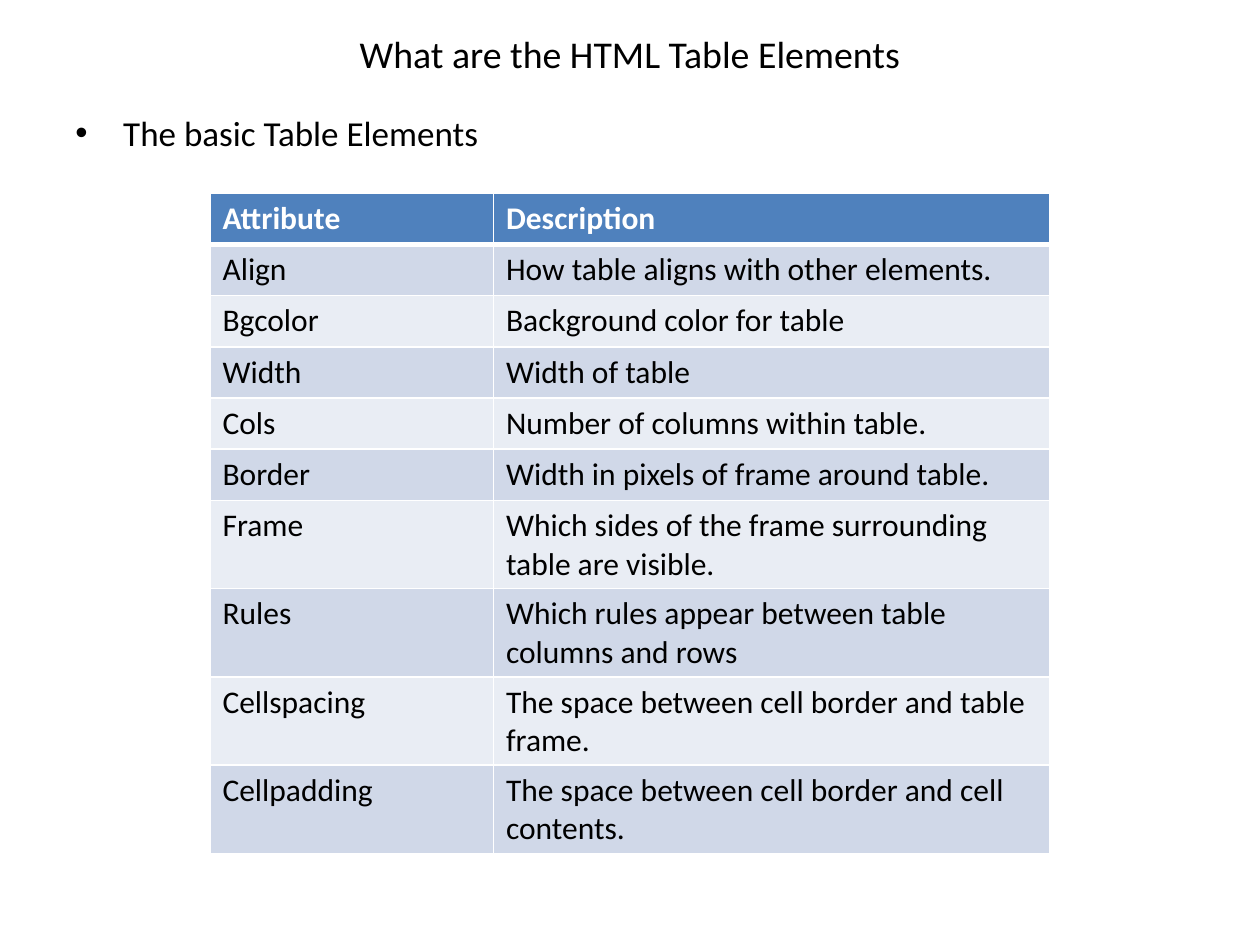
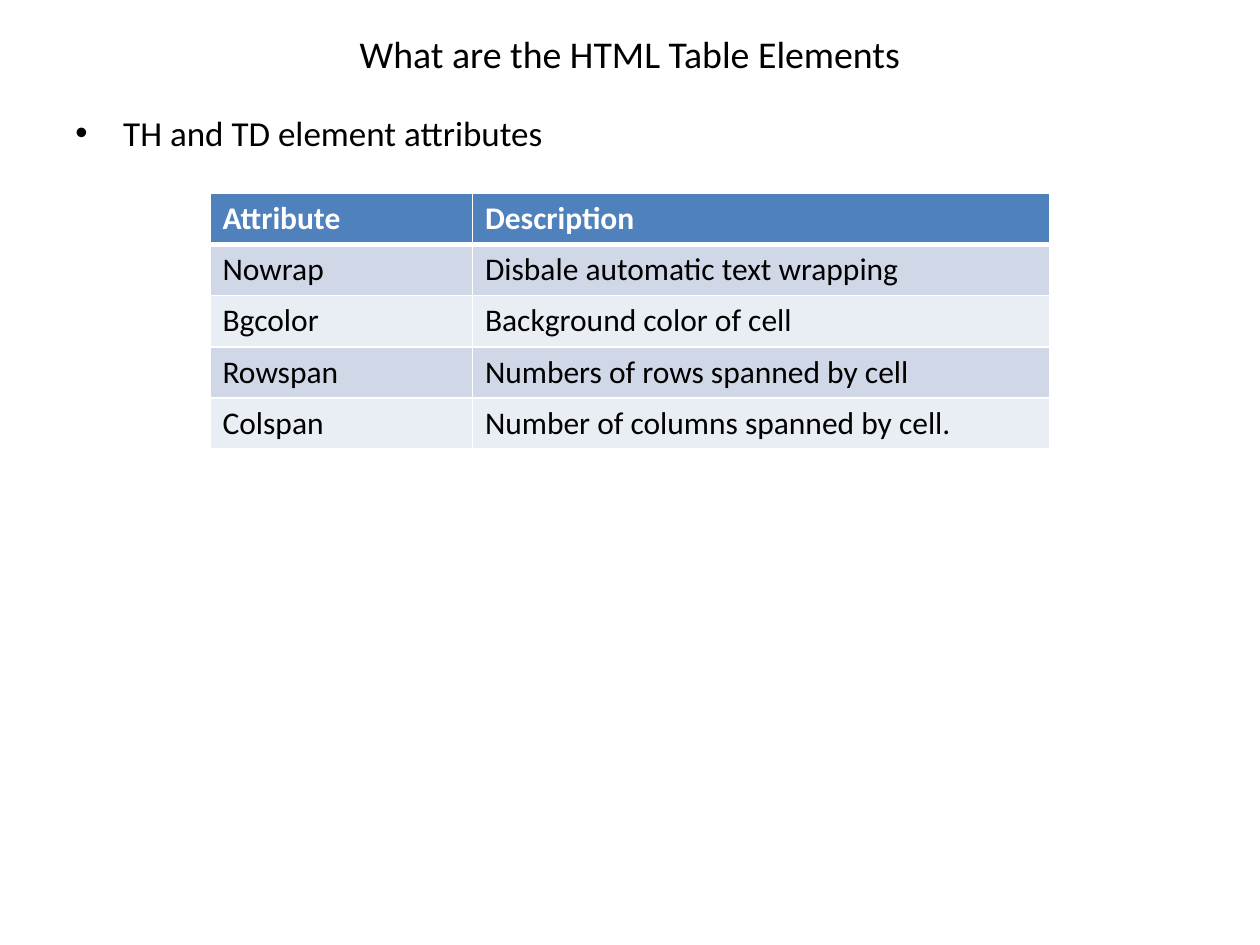
import pptx
import pptx.dml.color
import pptx.enum.text
import pptx.oxml
import pptx.oxml.ns
import pptx.util
from lxml import etree

RGB = pptx.dml.color.RGBColor
BLACK = RGB(0x00, 0x00, 0x00)
WHITE = RGB(0xFF, 0xFF, 0xFF)
HEADER_BLUE = RGB(0x4F, 0x81, 0xBD)
BANDS = (RGB(0xD0, 0xD8, 0xE8), RGB(0xE9, 0xED, 0xF4))

FONT = "Calibri"
TITLE = "What are the HTML Table Elements"
HEADINGS = ("Attribute", "Description")

BASIC_ATTRIBUTES = [
    ("Align", "How table aligns with other elements."),
    ("Bgcolor", "Background color for table"),
    ("Width", "Width of table"),
    ("Cols", "Number of columns within table."),
    ("Border", "Width in pixels of frame around table."),
    ("Frame", "Which sides of the frame surrounding table are visible."),
    ("Rules", "Which rules appear between table columns and rows"),
    ("Cellspacing", "The space between cell border and table frame."),
    ("Cellpadding", "The space between cell border and cell contents."),
]
CELL_ATTRIBUTES = [
    ("Nowrap", "Disbale automatic text wrapping"),
    ("Bgcolor", "Background color of cell"),
    ("Rowspan", "Numbers of rows spanned by cell"),
    ("Colspan", "Number of columns spanned by cell."),
]


def grid(units):
    """Length on a grid of 120 columns by 90 rows, twelve to the inch."""
    return pptx.util.Inches(units / 12)


class Deck:
    def __init__(self):
        self.prs = pptx.Presentation()
        self.prs.slide_width, self.prs.slide_height = grid(120), grid(90)
        self.slide = None

    def add_slide(self):
        self.slide = self.prs.slides.add_slide(self.prs.slide_layouts[6])

    def style(self, p, size, color=BLACK, bold=False):
        for r in p.runs:
            r.font.name = FONT
            r.font.size = pptx.util.Pt(size)
            r.font.bold = bold
            r.font.color.rgb = color

    def text(self, text, top, height, size):
        """A full-width line of text; returns its frame and paragraph."""
        sp = self.slide.shapes.add_textbox(grid(6), grid(top), grid(108), grid(height))
        tf = sp.text_frame
        tf.word_wrap = True
        p = tf.paragraphs[0]
        p.text = text
        p.line_spacing = 1.5
        self.style(p, size)
        return tf, p

    def title(self, text):
        tf, p = self.text(text, 0, 8, 21.6)
        tf.vertical_anchor = pptx.enum.text.MSO_ANCHOR.MIDDLE
        p.alignment = pptx.enum.text.PP_ALIGN.CENTER

    def bullet(self, text):
        _, p = self.text(text, 8, 80, 20)
        p.space_before = pptx.util.Pt(4)
        indent = pptx.util.Inches(0.38)
        pPr = p._p.get_or_add_pPr()
        pPr.set("marL", str(indent))
        pPr.set("indent", str(-indent))
        etree.SubElement(pPr, pptx.oxml.ns.qn("a:buFont")).set("typeface", "Arial")
        etree.SubElement(pPr, pptx.oxml.ns.qn("a:buChar")).set("char", "•")

    def borders(self, cell, top=1, bottom=1):
        tcPr = cell._tc.get_or_add_tcPr()
        for side, width in (("L", 1), ("R", 1), ("T", top), ("B", bottom)):
            tcPr.append(pptx.oxml.parse_xml(
                f'<a:ln{side} {pptx.oxml.ns.nsdecls("a")} w="{pptx.util.Pt(width)}">'
                f'<a:solidFill><a:srgbClr val="{WHITE}"/></a:solidFill></a:ln{side}>'))

    def table(self, rows, widths):
        rows = [HEADINGS] + rows
        row_height = 4.88
        frame = self.slide.shapes.add_table(
            len(rows), len(widths), grid(20), grid(18.4),
            grid(sum(widths)), grid(row_height * len(rows)))
        table = frame.table
        for column, width in zip(table.columns, widths):
            column.width = grid(width)
        for i, row in enumerate(rows):
            table.rows[i].height = grid(row_height)
            header = i == 0
            for j, text in enumerate(row):
                cell = table.cell(i, j)
                cell.text_frame.text = text
                self.style(cell.text_frame.paragraphs[0], 18,
                           WHITE if header else BLACK, header)
                # A thick rule parts the header from the first band
                self.borders(cell, top=3 if i == 1 else 1, bottom=3 if header else 1)
                cell.fill.solid()
                cell.fill.fore_color.rgb = HEADER_BLUE if header else BANDS[(i - 1) % 2]


def main():
    deck = Deck()
    for topic, rows, widths in (
        ("The basic Table Elements", BASIC_ATTRIBUTES, (27, 53)),
        ("TH and TD element attributes", CELL_ATTRIBUTES, (25, 55)),
    ):
        deck.add_slide()
        deck.title(TITLE)
        deck.bullet(topic)
        deck.table(rows, widths)
    deck.prs.save("out.pptx")


if __name__ == "__main__":
    main()
